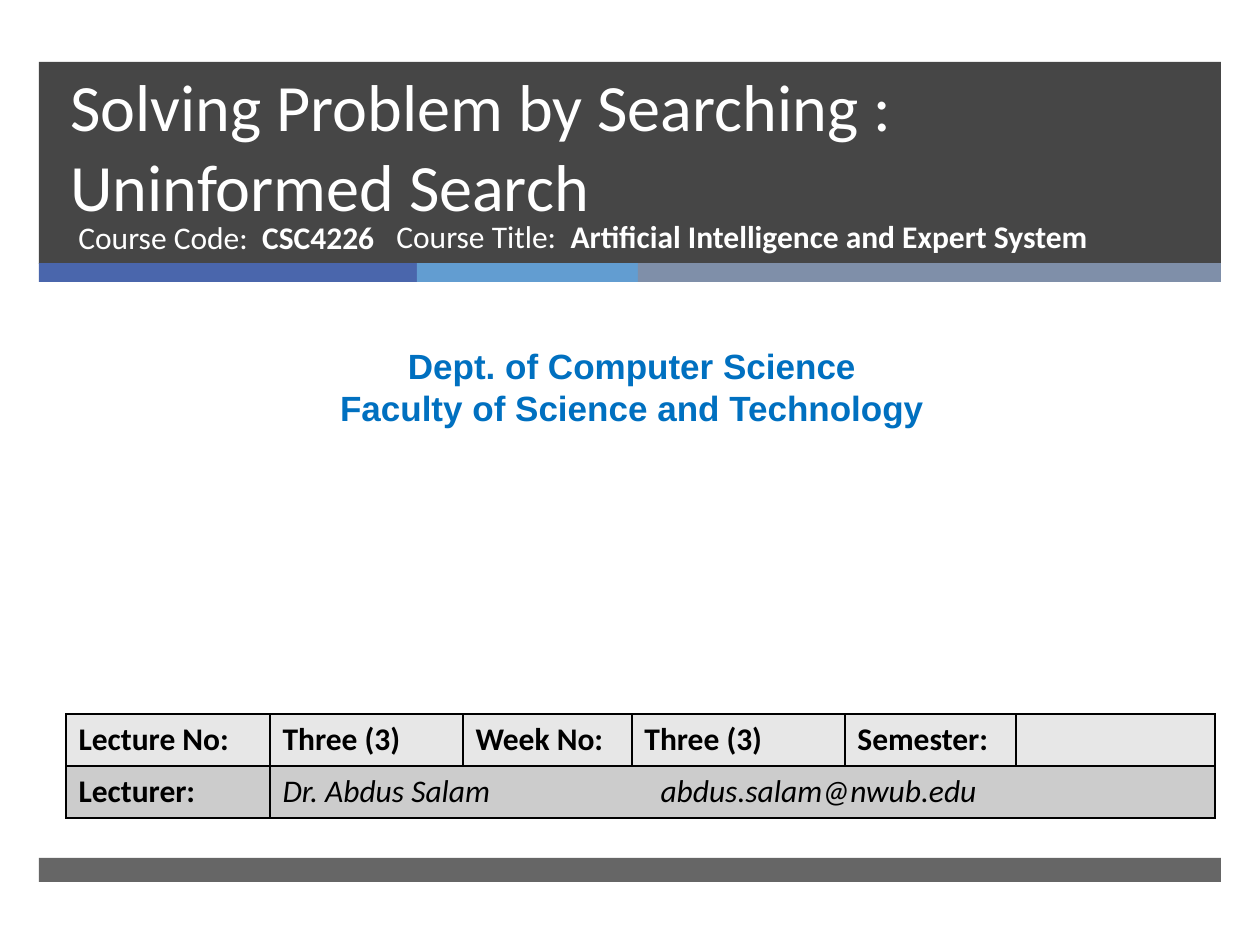
from lxml import etree
from pptx import Presentation
from pptx.dml.color import RGBColor
from pptx.enum.shapes import MSO_SHAPE as SHAPE
from pptx.enum.text import MSO_ANCHOR as ANCHOR, PP_ALIGN as ALIGN
from pptx.oxml.ns import qn
from pptx.util import Pt

PX = 914400 // 126


def rgb(value):
    return RGBColor.from_string(value)


def write(tf, lines, size=18, font="Calibri", color="000000", align=None, spacing=None):
    """Fill a text frame; each line is a list of (text, bold, italic) runs."""
    tf.word_wrap = True
    for i, line in enumerate(lines):
        p = tf.paragraphs[0] if i == 0 else tf.add_paragraph()
        p.alignment = align
        p.line_spacing = spacing
        for text, bold, italic in line:
            r = p.add_run()
            r.text = text
            f = r.font
            f.size, f.name, f.bold, f.italic = Pt(size), font, bold, italic
            f.color.rgb = rgb(color)


prs = Presentation()
prs.slide_width, prs.slide_height = 1260 * PX, 945 * PX
s = prs.slides.add_slide(prs.slide_layouts[6])

# Header band, three accent strips and footer band
bands = [
    (39, 62, 1182, 202, "262626", 85),
    (39, 263, 378, 19, "4A66AC", 100),
    (417, 263, 221, 19, "629DD1", 100),
    (638, 263, 583, 19, "7F8FA9", 100),
    (39, 858, 1182, 24, "262626", 70),
]
for x, y, w, h, color, opacity in bands:
    sp = s.shapes.add_shape(SHAPE.RECTANGLE, x * PX, y * PX, w * PX, h * PX)
    sp.shadow.inherit = False
    sp.line.fill.background()
    sp.fill.solid()
    sp.fill.fore_color.rgb = rgb(color)
    if opacity < 100:
        clr = sp.fill._xPr.find(qn("a:solidFill"))[0]
        etree.SubElement(clr, qn("a:alpha"), val=str(opacity * 1000))

# Title, course details and department
title = [[("Solving Problem by Searching :", False, False)],
         [("Uninformed Search", False, False)]]
code = [[("Course Code:  ", False, False), ("CSC4226", True, False)]]
course = [[("Course Title:  ", False, False),
           ("Artificial Intelligence and Expert System", True, False)]]
dept = [[("Dept. of Computer Science", True, False)],
        [("Faculty of Science and Technology", True, False)]]
white = {"color": "FFFFFF"}
texts = [
    (58, 81, 1076, 150, ANCHOR.BOTTOM, title, {"size": 37.8, "spacing": Pt(46), **white}),
    (66, 212, 384, 67, ANCHOR.TOP, code, white),
    (384, 211, 721, 67, ANCHOR.TOP, course, white),
    (10, 338, 1244, 97, ANCHOR.TOP, dept,
     {"size": 20, "font": "Arial", "color": "0070C0", "align": ALIGN.CENTER}),
]
for x, y, w, h, anchor, lines, style in texts:
    tf = s.shapes.add_textbox(x * PX, y * PX, w * PX, h * PX).text_frame
    tf.vertical_anchor = anchor
    write(tf, lines, **style)

# Lecture table
widths = [204, 193, 169, 213, 171, 199]
rows = [
    ["Lecture No:", "Three (3)", "Week No:", "Three (3)", "Semester:", ""],
    ["Lecturer:", "Dr. Abdus Salam\t\t\tabdus.salam@nwub.edu", "", "", "", ""],
]
row_fills = ["E7E7E7", "CCCCCC"]
table = s.shapes.add_table(2, 6, 66 * PX, 714 * PX, sum(widths) * PX, 104 * PX).table
for col, w in zip(table.columns, widths):
    col.width = w * PX
for row in table.rows:
    row.height = 52 * PX
table.cell(1, 1).merge(table.cell(1, 5))
for i, row in enumerate(rows):
    for j, text in enumerate(row):
        cell = table.cell(i, j)
        tcPr = cell._tc.get_or_add_tcPr()
        for side in ("lnL", "lnR", "lnT", "lnB"):
            ln = etree.SubElement(tcPr, qn("a:" + side), w=str(Pt(1)))
            line_fill = etree.SubElement(ln, qn("a:solidFill"))
            etree.SubElement(line_fill, qn("a:srgbClr"), val="000000")
        cell.fill.solid()
        cell.fill.fore_color.rgb = rgb(row_fills[i])
        if text:
            contact = "@" in text
            write(cell.text_frame, [[(text, not contact, contact)]])

prs.save("out.pptx")
